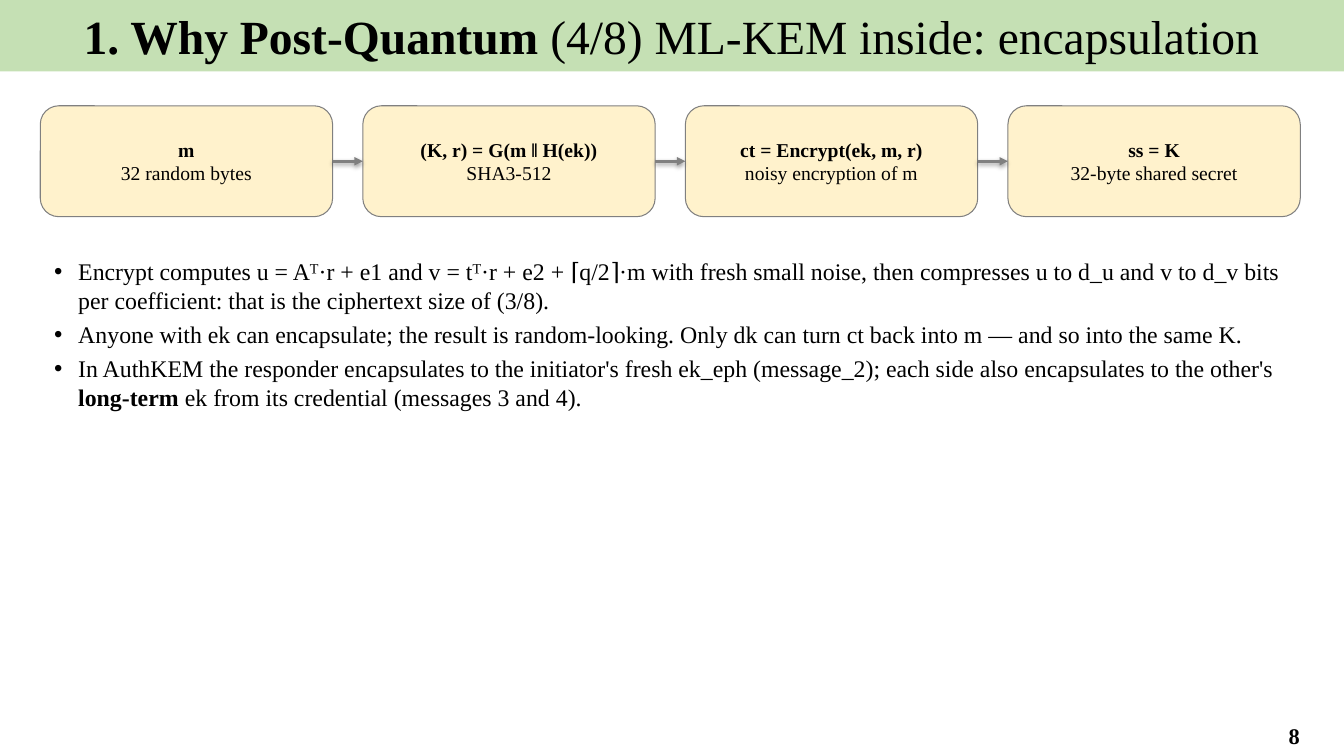
"""Build the slide on ML-KEM encapsulation."""
from dataclasses import dataclass

from lxml import etree
from pptx import Presentation
from pptx import util as u
from pptx.dml.color import RGBColor
from pptx.enum import shapes, text
from pptx.oxml import ns

GREEN = RGBColor(0xC5, 0xE0, 0xB4)
CREAM = RGBColor(0xFF, 0xF2, 0xCC)
GREY = RGBColor(0x80, 0x80, 0x80)
BLACK = RGBColor(0, 0, 0)
FONT = "Times New Roman"

STEP_LEFT, STEP_TOP, STEP_WIDTH, STEP_HEIGHT = 28.8, 75.6, 208.8, 79.2
STEP_PITCH = 230.4


@dataclass(frozen=True)
class Run:
    wording: str
    bold: bool = False


@dataclass(frozen=True)
class Step:
    formula: str
    meaning: str


STEPS = [
    Step("m", "32 random bytes"),
    Step("(K, r) = G(m ‖ H(ek))", "SHA3-512"),
    Step("ct = Encrypt(ek, m, r)", "noisy encryption of m"),
    Step("ss = K", "32-byte shared secret"),
]

POINTS = [
    [Run("Encrypt computes u = Aᵀ·r + e1 and v = tᵀ·r + e2 + ⌈q/2⌉·m with fresh small noise, "
         "then compresses u to d_u and v to d_v bits per coefficient: "
         "that is the ciphertext size of (3/8).")],
    [Run("Anyone with ek can encapsulate; the result is random-looking. "
         "Only dk can turn ct back into m — and so into the same K.")],
    [Run("In AuthKEM the responder encapsulates to the initiator's fresh ek_eph (message_2); "
         "each side also encapsulates to the other's "),
     Run("long-term", True),
     Run(" ek from its credential (messages 3 and 4).")],
]


def write(paragraph, runs: list[Run], size: float) -> None:
    for part in runs:
        run = paragraph.add_run()
        run.text = part.wording
        run.font.name = FONT
        run.font.size = u.Pt(size)
        run.font.bold = part.bold
        run.font.color.rgb = BLACK


def fill_frame(frame, lines: list[list[Run]], size: float) -> None:
    frame.word_wrap = True
    frame.vertical_anchor = text.MSO_ANCHOR.MIDDLE
    for index, runs in enumerate(lines):
        paragraph = frame.add_paragraph() if index else frame.paragraphs[0]
        paragraph.alignment = text.PP_ALIGN.CENTER
        write(paragraph, runs, size)


def add_banner(slide) -> None:
    banner = slide.shapes.add_shape(
        shapes.MSO_SHAPE.RECTANGLE, u.Pt(-0.5), 0, u.Pt(960.5), u.Pt(51))
    banner.shadow.inherit = False
    banner.fill.solid()
    banner.fill.fore_color.rgb = GREEN
    banner.line.fill.background()
    fill_frame(banner.text_frame, [[Run("1. Why Post-Quantum ", True),
                                    Run("(4/8) ML-KEM inside: encapsulation")]], 34)


def add_page_number(slide) -> None:
    page_number = slide.shapes.add_textbox(u.Pt(889.2), u.Pt(511.2), u.Pt(70.6), u.Pt(28.1))
    fill_frame(page_number.text_frame, [[Run("8", True)]], 16)


def add_step(slide, step: Step, index: int):
    box = slide.shapes.add_shape(
        shapes.MSO_SHAPE.ROUNDED_RECTANGLE, u.Pt(STEP_LEFT + index * STEP_PITCH),
        u.Pt(STEP_TOP), u.Pt(STEP_WIDTH), u.Pt(STEP_HEIGHT))
    box.shadow.inherit = False
    box.fill.solid()
    box.fill.fore_color.rgb = CREAM
    box.line.color.rgb = GREY
    box.line.width = u.Pt(0.75)
    frame = box.text_frame
    frame.margin_left = frame.margin_right = u.Pt(2.88)
    frame.margin_top = frame.margin_bottom = u.Pt(2.88)
    fill_frame(frame, [[Run(step.formula, True)], [Run(step.meaning)]], 14)
    return box


def add_arrow(slide, source, target) -> None:
    arrow = slide.shapes.add_connector(shapes.MSO_CONNECTOR.STRAIGHT, 0, 0, 0, 0)
    arrow.begin_connect(source, 3)
    arrow.end_connect(target, 1)
    arrow.line.color.rgb = GREY
    arrow.line.width = u.Pt(2)
    etree.SubElement(arrow.line._get_or_add_ln(), ns.qn("a:tailEnd"), type="triangle")


def add_points(slide) -> None:
    points = slide.shapes.add_textbox(u.Pt(28.8), u.Pt(180), u.Pt(900), u.Pt(309.6))
    frame = points.text_frame
    frame.word_wrap = True
    for index, runs in enumerate(POINTS):
        paragraph = frame.add_paragraph() if index else frame.paragraphs[0]
        paragraph.space_after = u.Pt(4)
        properties = paragraph._p.get_or_add_pPr()
        properties.set("marL", str(u.Pt(20)))
        properties.set("indent", str(u.Pt(-17.3)))
        etree.SubElement(properties, ns.qn("a:buFont"), typeface="Arial")
        etree.SubElement(properties, ns.qn("a:buChar"), char="•")
        write(paragraph, runs, 17)


def main() -> None:
    deck = Presentation()
    deck.slide_width, deck.slide_height = u.Pt(960), u.Pt(540)
    slide = deck.slides.add_slide(deck.slide_layouts[6])
    add_banner(slide)
    add_page_number(slide)
    previous = None
    for index, step in enumerate(STEPS):
        box = add_step(slide, step, index)
        if previous is not None:
            add_arrow(slide, previous, box)
        previous = box
    add_points(slide)
    deck.save("out.pptx")


if __name__ == "__main__":
    main()
